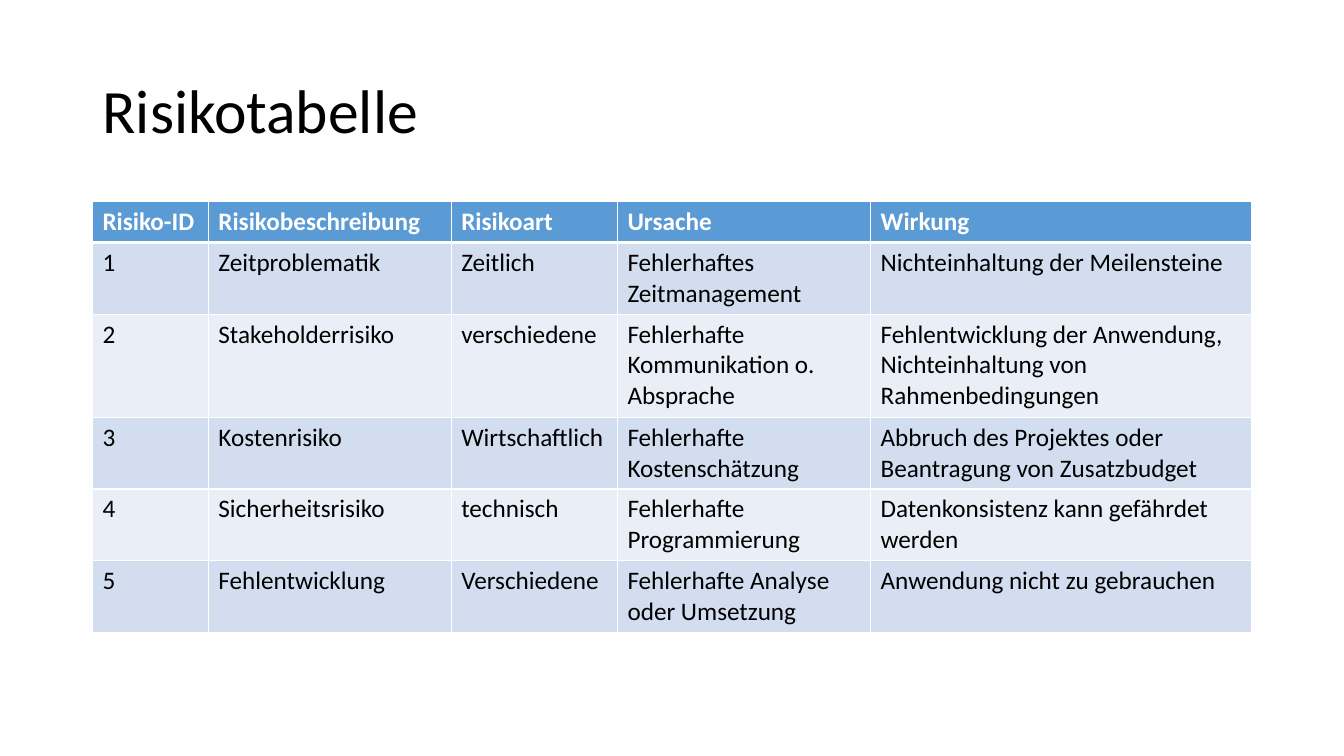
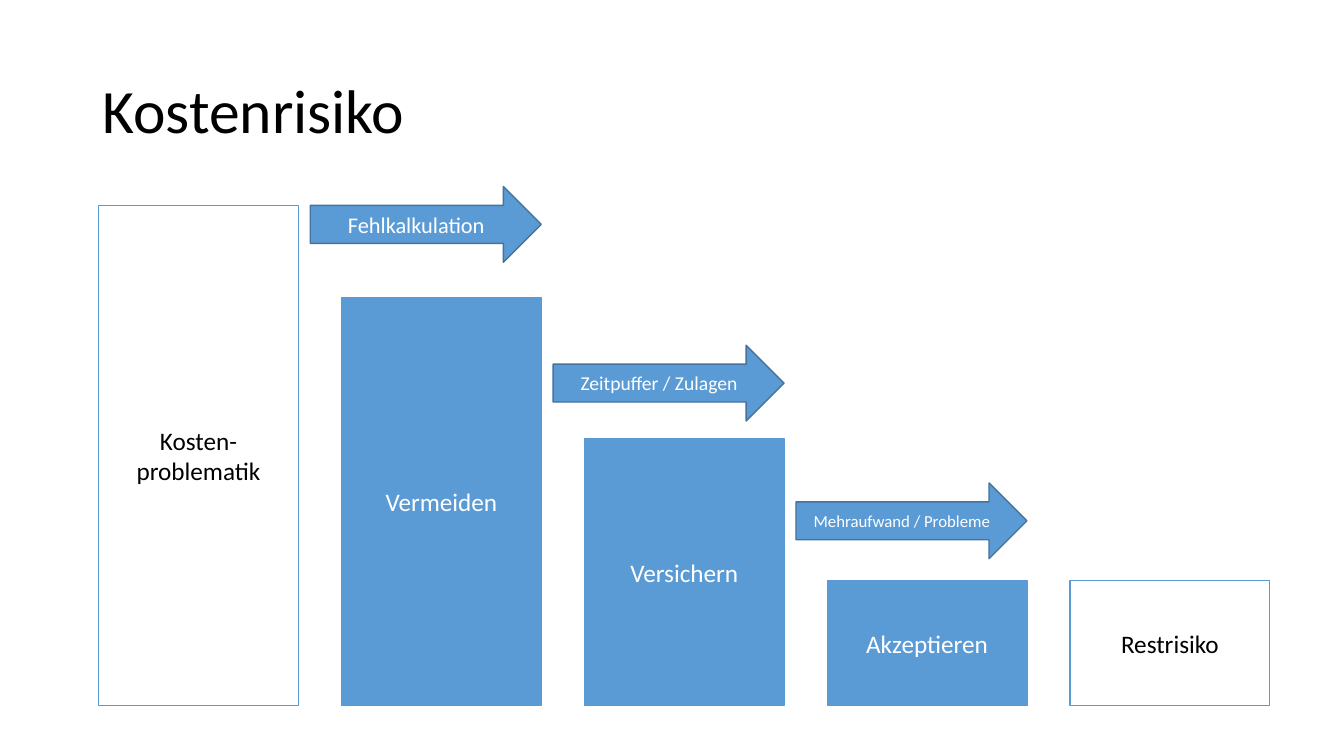
from lxml import etree
from pptx import Presentation
from pptx.dml.color import RGBColor
from pptx.enum.shapes import MSO_SHAPE
from pptx.enum.text import MSO_ANCHOR, PP_ALIGN
from pptx.oxml.ns import qn
from pptx.util import Cm, Pt

RECTANGLE, ARROW = MSO_SHAPE.RECTANGLE, MSO_SHAPE.RIGHT_ARROW
LEFT, CENTER = PP_ALIGN.LEFT, PP_ALIGN.CENTER
MIDDLE = MSO_ANCHOR.MIDDLE

FONT = "Calibri"
BLACK, WHITE = "000000", "FFFFFF"
BLUE, DARK_BLUE = "5B9BD5", "43739E"
BANDS = ["EAEFF7", "D2DEEF"]  # even and odd table rows


def write(frame, text, size, color, align=LEFT, bold=False):
    """Put one formatted paragraph into a text frame."""
    para = frame.paragraphs[0]
    para.text = text
    para.alignment = align
    para.font.name = FONT
    para.font.size = Pt(size)
    para.font.bold = bold
    para.font.color.rgb = RGBColor.from_string(color)
    return para


def add_block(page, kind, place, text, size, fill, line, color):
    """Add a filled, outlined shape with centred text."""
    block = page.shapes.add_shape(kind, *[Cm(length) for length in place])
    block.shadow.inherit = False
    block.fill.solid()
    block.fill.fore_color.rgb = RGBColor.from_string(fill)
    block.line.color.rgb = RGBColor.from_string(line)
    block.line.width = Pt(1)
    block.text_frame.word_wrap = True
    block.text_frame.vertical_anchor = MIDDLE
    write(block.text_frame, text, size, color, CENTER)


deck = Presentation()
deck.slide_width, deck.slide_height = Cm(33.87), Cm(19.05)
layout = deck.slide_layouts[5]

# Pages with their titles
pages = []
for heading in ["Risikotabelle", "Kostenrisiko"]:
    page = deck.slides.add_slide(layout)
    title = page.shapes.title
    title.left, title.top = Cm(2.33), Cm(1.02)
    title.width, title.height = Cm(29.21), Cm(3.68)
    title.text_frame.vertical_anchor = MIDDLE
    write(title.text_frame, heading, 44, BLACK).line_spacing = 0.9
    pages.append(page)
table_page, cost_page = pages

# Risk table
RISKS = [
    ["Risiko-ID", "Risikobeschreibung", "Risikoart", "Ursache", "Wirkung"],
    ["1", "Zeitproblematik", "Zeitlich", "Fehlerhaftes Zeitmanagement",
     "Nichteinhaltung der Meilensteine"],
    ["2", "Stakeholderrisiko", "verschiedene",
     "Fehlerhafte Kommunikation o. Absprache",
     "Fehlentwicklung der Anwendung, Nichteinhaltung von Rahmenbedingungen"],
    ["3", "Kostenrisiko", "Wirtschaftlich", "Fehlerhafte Kostenschätzung",
     "Abbruch des Projektes oder Beantragung von Zusatzbudget"],
    ["4", "Sicherheitsrisiko", "technisch", "Fehlerhafte Programmierung",
     "Datenkonsistenz kann gefährdet werden"],
    ["5", "Fehlentwicklung", "Verschiedene",
     "Fehlerhafte Analyse oder Umsetzung", "Anwendung nicht zu gebrauchen"],
]
COLUMN_WIDTHS = [2.92, 6.12, 4.19, 6.38, 9.6]
ROW_HEIGHTS = [1.03, 1.8, 2.6, 1.8, 1.8, 1.8]

table = table_page.shapes.add_table(
    len(RISKS), len(COLUMN_WIDTHS), Cm(2.33), Cm(5.08),
    Cm(sum(COLUMN_WIDTHS)), Cm(sum(ROW_HEIGHTS))).table
for column, width in zip(table.columns, COLUMN_WIDTHS):
    column.width = Cm(width)
for row, height in zip(table.rows, ROW_HEIGHTS):
    row.height = Cm(height)

for r, texts in enumerate(RISKS):
    is_header = r == 0
    # A thicker rule separates the header from the first risk
    borders = {"lnL": 1, "lnR": 1, "lnT": 3 if r == 1 else 1,
               "lnB": 3 if is_header else 1}
    for c, text in enumerate(texts):
        cell = table.cell(r, c)
        properties = cell._tc.get_or_add_tcPr()
        for side, width in borders.items():
            border = etree.SubElement(properties, qn(f"a:{side}"), w=str(Pt(width)))
            paint = etree.SubElement(border, qn("a:solidFill"))
            etree.SubElement(paint, qn("a:srgbClr"), val=WHITE)
        cell.fill.solid()
        cell.fill.fore_color.rgb = RGBColor.from_string(
            BLUE if is_header else BANDS[r % 2])
        write(cell.text_frame, text, 18, WHITE if is_header else BLACK,
              bold=is_header)

# Descending cost bars, all standing on one base line
BAR_LEFT, BAR_STEP, BAR_WIDTH, BASE = 2.49, 6.12, 5.03, 17.78
BARS = [
    ("Kosten-\nproblematik", 5.18, WHITE, BLACK),
    ("Vermeiden", 7.5, BLUE, WHITE),
    ("Versichern", 11.05, BLUE, WHITE),
    ("Akzeptieren", 14.63, BLUE, WHITE),
    ("Restrisiko", 14.63, WHITE, BLACK),
]
for i, (text, top, fill, color) in enumerate(BARS):
    place = (BAR_LEFT + i * BAR_STEP, top, BAR_WIDTH, BASE - top)
    add_block(cost_page, RECTANGLE, place, text, 18, fill, BLUE, color)

# Arrows, each ending at the right edge of the next bar
ARROW_WIDTH, ARROW_HEIGHT = 5.82, 1.91
ARROWS = [
    ("Fehlkalkulation", 4.7, 16),
    ("Zeitpuffer / Zulagen", 8.7, 14),
    ("Mehraufwand / Probleme", 12.17, 12),
]
for i, (text, top, size) in enumerate(ARROWS, start=1):
    right = BAR_LEFT + i * BAR_STEP + BAR_WIDTH
    place = (right - ARROW_WIDTH, top, ARROW_WIDTH, ARROW_HEIGHT)
    add_block(cost_page, ARROW, place, text, size, BLUE, DARK_BLUE, WHITE)

deck.save("out.pptx")
